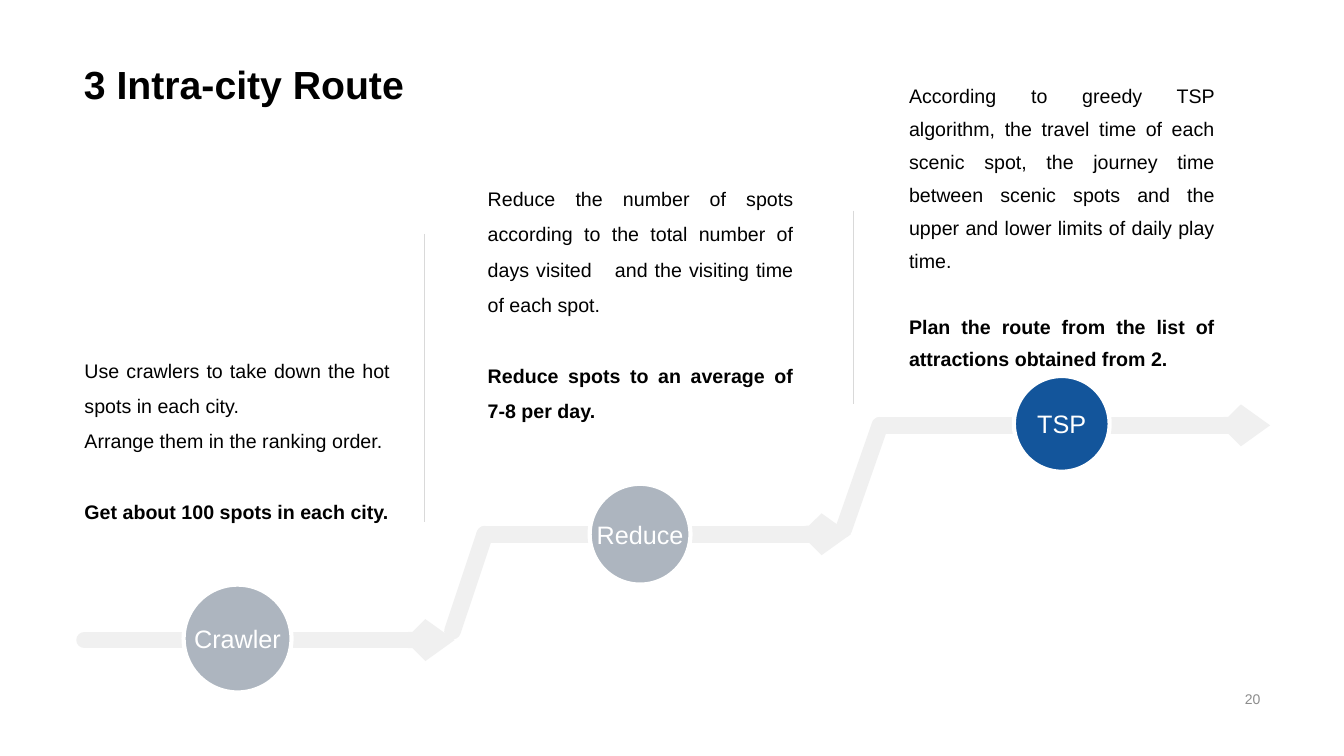
import pptx
import pptx.util
import pptx.dml.color
import pptx.enum.shapes
import pptx.enum.text
import pptx.oxml.ns
import lxml.etree

COLORS = {"ink": "000000", "paper": "FFFFFF", "track": "F0F0F0", "divider": "D9D9D9",
          "muted": "ADB5BF", "active": "13559B", "number": "8C8C8C"}
SLIDE_WIDTH = pptx.util.Inches(13.33)
SLIDE_HEIGHT = pptx.util.Inches(7.5)
COLUMN = SLIDE_WIDTH / 40
ROW = SLIDE_HEIGHT / 30
ALIGN = pptx.enum.text.PP_ALIGN
ANCHOR = pptx.enum.text.MSO_ANCHOR

STEPS = [
    {"name": "Crawler", "color": "muted", "box": (2.52, 13.56, 11.01, 11.84),
     "circle": (4.55, -0.06, 4.28), "text": (-0.3, 8.16), "spacing": 1.5,
     "divider": (10.11, -4.28, 7.16),
     "body": ["Use crawlers to take down the hot spots in each city.",
              "Arrange them in the ranking order."],
     "result": "Get about 100 spots in each city."},
    {"name": "Reduce", "color": "muted", "box": (14.43, 6.76, 10.89, 14.44),
     "circle": (4.62, 0, 4), "text": (-0.21, 10.8), "spacing": 1.5,
     "divider": (10.95, 1.6, 9.28), "ramp": (-0.96, 3.84),
     "body": ["Reduce the number of spots according to the total number of "
              "days visited　and the visiting time of each spot."],
     "result": "Reduce spots to an average of 7-8 per day."},
    {"name": "TSP", "color": "active", "box": (26.19, 2.76, 11.61, 14.12),
     "circle": (5.41, -0.06, 3.8), "text": (0.57, 10.8), "spacing": 1.4,
     "ramp": (-1.08, 4.12),
     "body": ["According to greedy TSP algorithm, the travel time of each scenic spot, "
              "the journey time between scenic spots and the upper and lower limits "
              "of daily play time."],
     "result": "Plan the route from the list of attractions obtained from 2."},
]


def across(columns):
    return round(columns * COLUMN)


def down(rows):
    return round(rows * ROW)


def rgb(name):
    return pptx.dml.color.RGBColor.from_string(COLORS[name])


def set_values(target, values):
    for name, value in values.items():
        setattr(target, name, value)


def write(para, text, color, size, para_format, bold=False):
    set_values(para, para_format)
    span = para.add_run()
    span.text = text
    set_values(span.font, {"name": "Arial", "size": pptx.util.Pt(size), "bold": bold})
    span.font.color.rgb = rgb(color)


def add_line(slide, start, end, color, width, rounded=False, arrow=False):
    line = slide.shapes.add_connector(
        pptx.enum.shapes.MSO_CONNECTOR.STRAIGHT,
        across(start[0]), down(start[1]), across(end[0]), down(end[1]))
    line.line.color.rgb = rgb(color)
    line.line.width = pptx.util.Pt(width)
    outline = line.line._get_or_add_ln()
    if rounded:
        outline.set("cap", "rnd")
        lxml.etree.SubElement(outline, pptx.oxml.ns.qn("a:round"))
    if arrow:
        lxml.etree.SubElement(outline, pptx.oxml.ns.qn("a:tailEnd"),
                              type="arrow", w="sm", len="sm")
    lxml.etree.SubElement(line._element.spPr, pptx.oxml.ns.qn("a:effectLst"))


def add_circle(slide, step, center_x, center_y, diameter):
    size = down(diameter)
    circle = slide.shapes.add_shape(
        pptx.enum.shapes.MSO_SHAPE.OVAL,
        across(center_x) - size // 2, down(center_y) - size // 2, size, size)
    circle.shadow.inherit = False
    circle.fill.solid()
    circle.fill.fore_color.rgb = rgb(step["color"])
    circle.line.color.rgb = rgb("paper")
    circle.line.width = pptx.util.Pt(3)
    set_values(circle.text_frame, {"word_wrap": False, "vertical_anchor": ANCHOR.MIDDLE})
    write(circle.text_frame.paragraphs[0], step["name"], "paper", 18,
          {"alignment": ALIGN.CENTER})


def add_description(slide, step, left, top, height):
    box = slide.shapes.add_textbox(across(left), down(top), across(9.69), down(height))
    box.text_frame.word_wrap = True
    para_format = {"alignment": ALIGN.JUSTIFY, "line_spacing": step["spacing"]}
    for index, text in enumerate(step["body"]):
        para = box.text_frame.paragraphs[0] if index == 0 else box.text_frame.add_paragraph()
        write(para, text, "ink", 14, para_format)
    gap = pptx.util.Pt(round(16.8 * step["spacing"], 1))
    write(box.text_frame.add_paragraph(), step["result"], "ink", 14,
          {**para_format, "space_before": gap}, bold=True)


def add_step(slide, step):
    left, top, width, height = step["box"]
    track = top + height
    if "ramp" in step:
        shift, drop = step["ramp"]
        add_line(slide, (left, track), (left + shift, track + drop), "track", 12, rounded=True)
    add_line(slide, (left, track), (left + width, track), "track", 12,
             rounded=True, arrow=True)
    offset_x, offset_y, diameter = step["circle"]
    add_circle(slide, step, left + offset_x, track + offset_y, diameter)
    text_offset, text_height = step["text"]
    add_description(slide, step, left + text_offset, top, text_height)
    if "divider" in step:
        offset, start, end = step["divider"]
        add_line(slide, (left + offset, top + start), (left + offset, top + end),
                 "divider", 0.25)


def add_title(slide, text, left, top, width, height):
    title = slide.shapes.title
    set_values(title, {"left": across(left), "top": down(top),
                       "width": across(width), "height": down(height)})
    set_values(title.text_frame, {"word_wrap": True, "vertical_anchor": ANCHOR.BOTTOM})
    write(title.text_frame.paragraphs[0], text, "ink", 28,
          {"alignment": ALIGN.LEFT, "line_spacing": 0.9}, bold=True)


def add_page_number(slide, text, left, top, width, height):
    box = slide.shapes.add_textbox(across(left), down(top), across(width), down(height))
    set_values(box.text_frame, {"word_wrap": True, "vertical_anchor": ANCHOR.MIDDLE})
    write(box.text_frame.paragraphs[0], text, "number", 10, {"alignment": ALIGN.RIGHT})


def main():
    deck = pptx.Presentation()
    set_values(deck, {"slide_width": SLIDE_WIDTH, "slide_height": SLIDE_HEIGHT})
    slide = deck.slides.add_slide(deck.slide_layouts.get_by_name("Title Only"))
    add_title(slide, "3 Intra-city Route", 2.2, 0, 35.6, 4.48)
    add_page_number(slide, "20", 28.27, 27.28, 9.54, 0.92)
    for step in STEPS:
        add_step(slide, step)
    deck.save("out.pptx")


if __name__ == "__main__":
    main()
